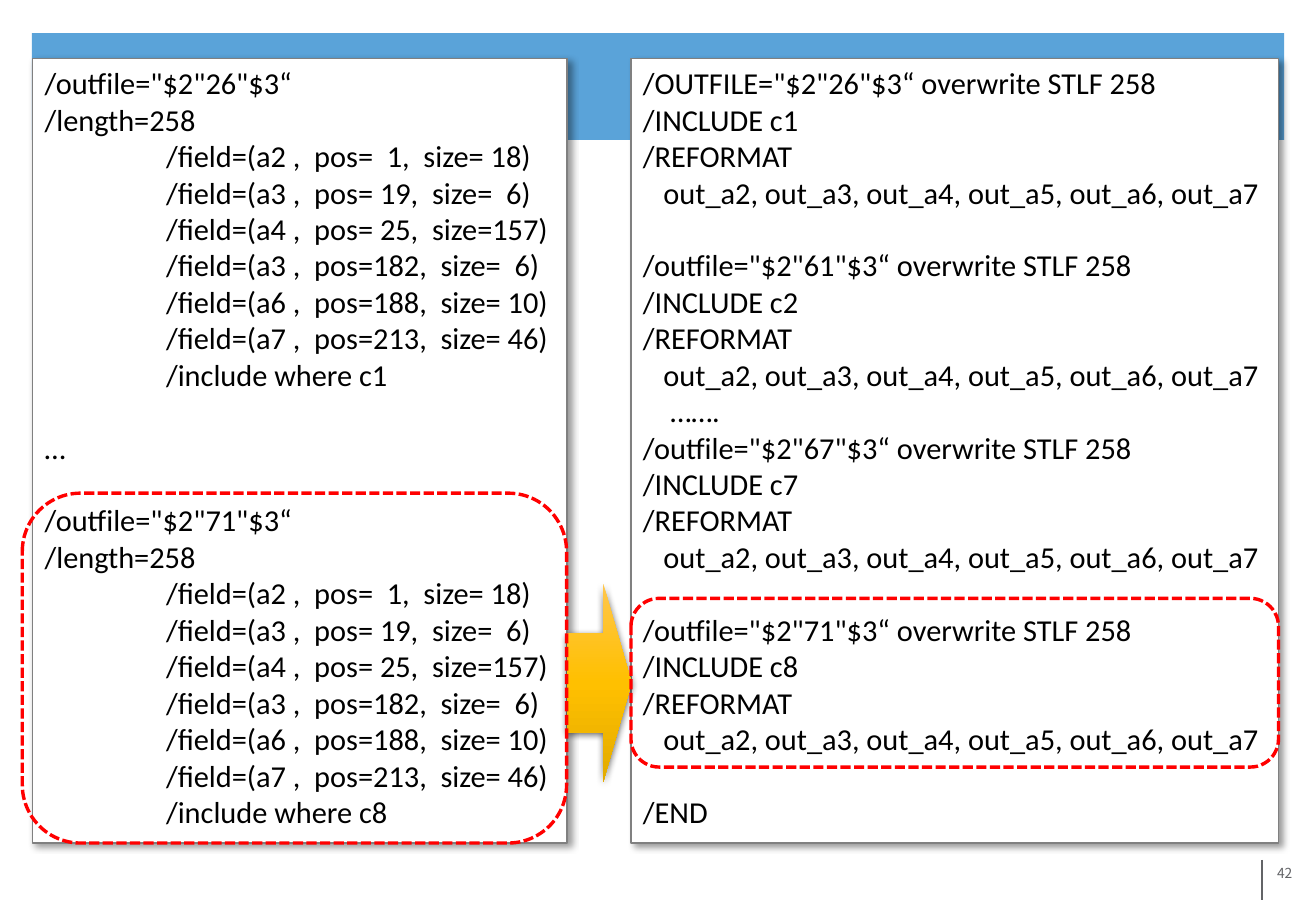
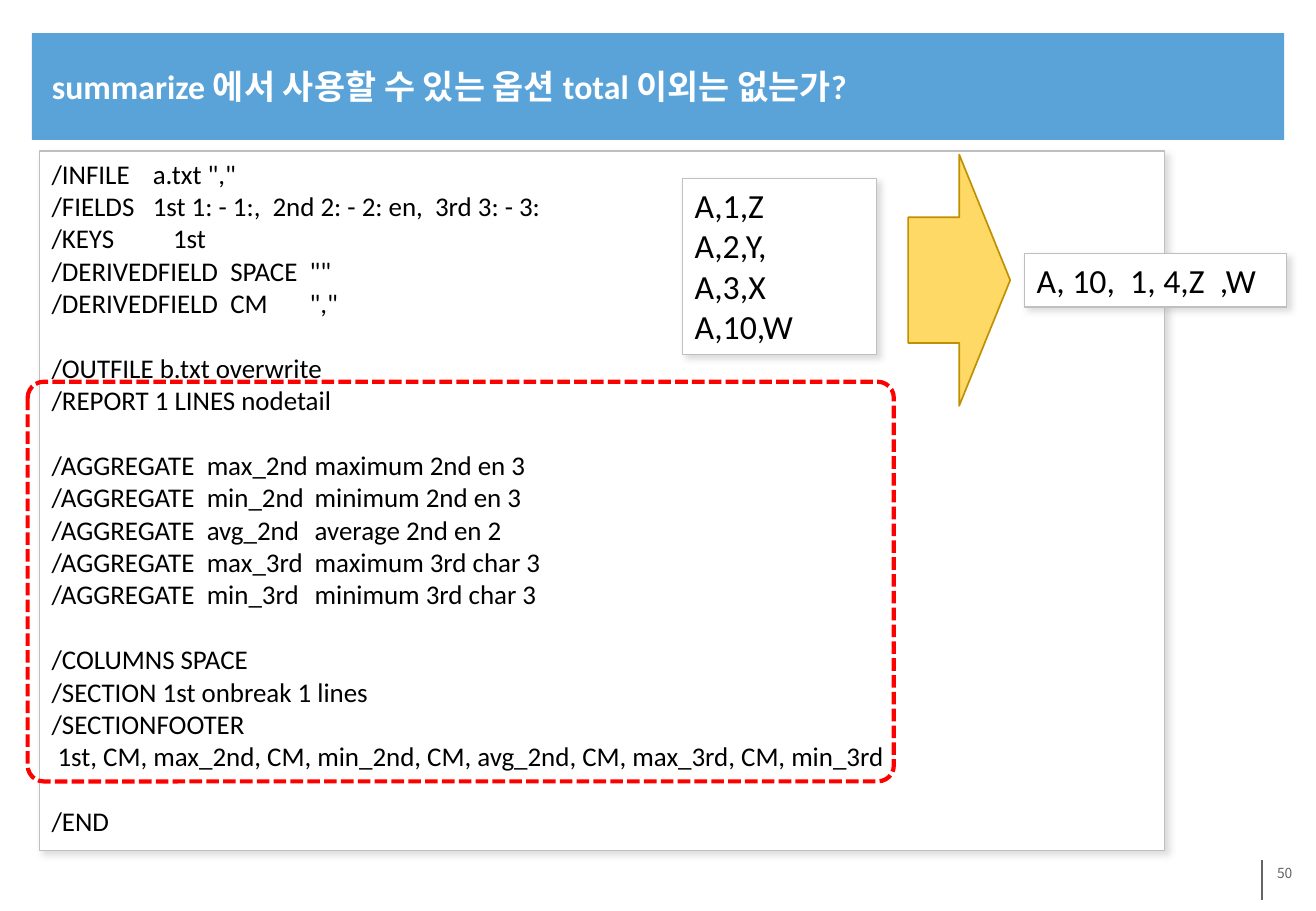
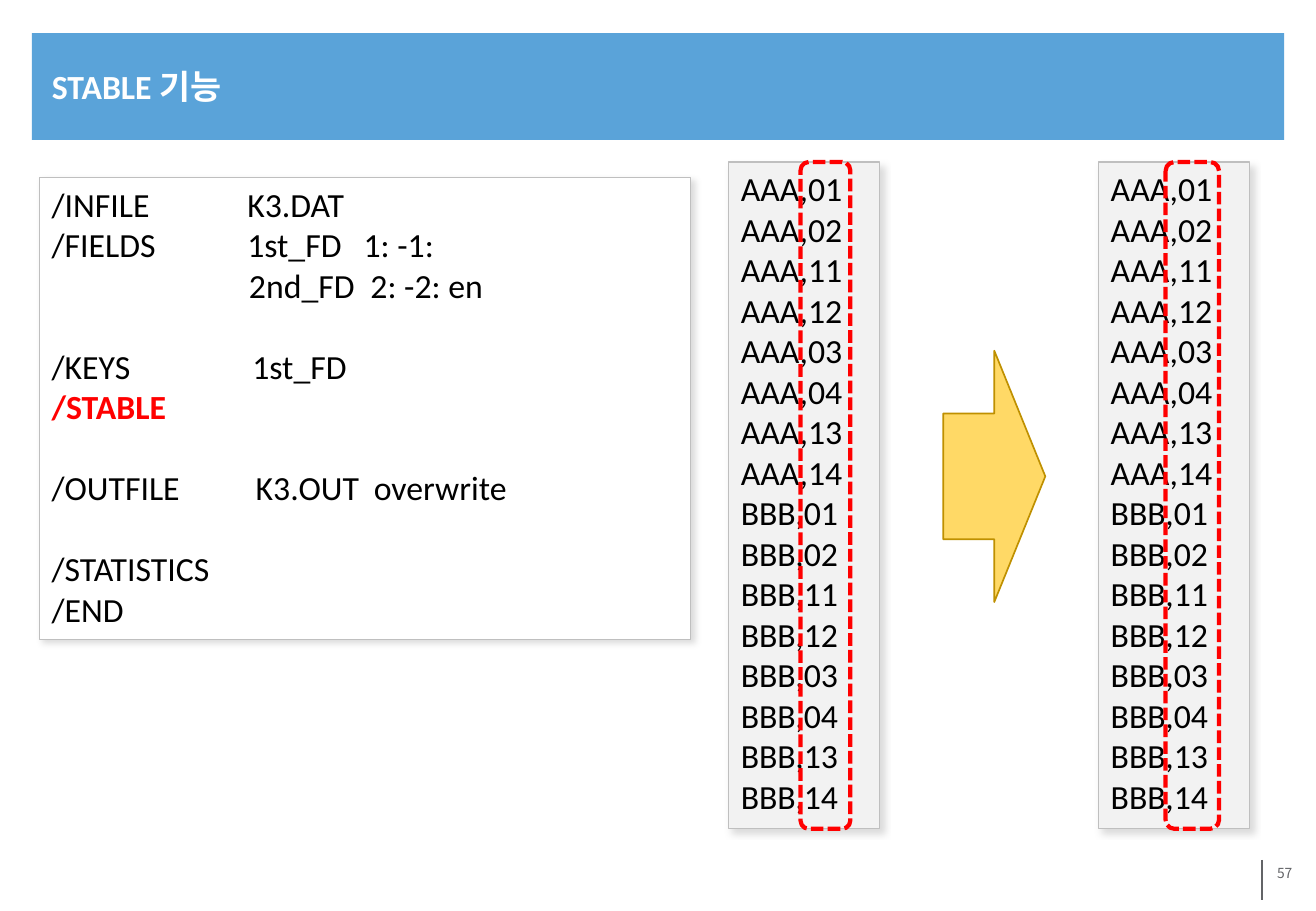
from copy import deepcopy

from lxml import etree
from pptx import Presentation
from pptx.dml.color import RGBColor
from pptx.enum import dml, shapes, text
from pptx.oxml.ns import qn
from pptx.util import Pt

# Shared look
BAND_BLUE = RGBColor(0x5A, 0xA3, 0xD9)
WHITE = RGBColor(0xFF, 0xFF, 0xFF)
BLACK = RGBColor(0x00, 0x00, 0x00)
RED = RGBColor(0xFF, 0x00, 0x00)
FOOTER_GREY = RGBColor(0x63, 0x64, 0x67)
DARK_EDGE = RGBColor(0x80, 0x80, 0x80)
LIGHT_EDGE = RGBColor(0xBF, 0xBF, 0xBF)
SOFT_SHADOW = RGBColor(0xA6, 0xA6, 0xA6)
LIST_GREY = RGBColor(0xF2, 0xF2, 0xF2)
ARROW_FILL = RGBColor(0xFF, 0xD9, 0x66)
ARROW_EDGE = RGBColor(0xBF, 0x90, 0x00)
ARROW_GRADIENT = [(0, RGBColor(0xFF, 0xC6, 0x4B)),
                  (0.5, RGBColor(0xFF, 0xC0, 0x00)),
                  (1, RGBColor(0xE3, 0xAB, 0x00))]

LATIN, KOREAN = "Calibri", "Noto Sans CJK KR"
LINE_RATIO = 1.2
SLIDE_SIZE = (780, 540)
BAND = (18.9, 19.6, 742.3, 63.4)
TITLE = (23.5, 22.3, 734.4, 56.9)
PAGE_NUMBER = (639.5, 509.7, 131.5, 36)
DIVIDER = (748, 509.7, 748, 533.5)

FRAME_SHAPE = shapes.MSO_SHAPE.ROUNDED_RECTANGLE
SOFT_FRAME_SHAPE = shapes.MSO_SHAPE.FLOWCHART_ALTERNATE_PROCESS
PLAIN_PANEL = {"fill": WHITE, "edge": LIGHT_EDGE, "shade": SOFT_SHADOW}
DARK_PANEL = {"fill": WHITE, "edge": DARK_EDGE, "shade": BLACK}
LIST_PANEL = {"fill": LIST_GREY, "edge": LIGHT_EDGE, "shade": SOFT_SHADOW}

# Content, with the tab stops of each command (the words before the first tab)
FIELDS = [("a2", 1, 18), ("a3", 19, 6), ("a4", 25, 157),
          ("a3", 182, 6), ("a6", 188, 10), ("a7", 213, 46)]
FIELD_TABS = {"": (72,)}

SUMMARY_CODE = [
    '/INFILE\ta.txt ","',
    "/FIELDS\t1st 1: - 1:,  2nd 2: - 2: en,  3rd 3: - 3:",
    "/KEYS\t1st",
    '/DERIVEDFIELD\tSPACE\t""',
    '/DERIVEDFIELD\tCM\t","',
    "",
    "/OUTFILE b.txt overwrite",
    "/REPORT 1 LINES nodetail",
    "",
    "/AGGREGATE\tmax_2nd\tmaximum 2nd en 3",
    "/AGGREGATE\tmin_2nd\tminimum 2nd en 3",
    "/AGGREGATE\tavg_2nd\taverage 2nd en 2",
    "/AGGREGATE\tmax_3rd\tmaximum 3rd char 3",
    "/AGGREGATE\tmin_3rd\tminimum 3rd char 3",
    "",
    "/COLUMNS SPACE",
    "/SECTION 1st onbreak 1 lines",
    "/SECTIONFOOTER",
    " 1st, CM, max_2nd, CM, min_2nd, CM, avg_2nd, CM, max_3rd, CM, min_3rd",
    "",
    "/END",
]
SUMMARY_TABS = {"/INFILE": (60,), "/FIELDS": (60,), "/KEYS": (72,),
                "/DERIVEDFIELD": (106, 153), "/AGGREGATE": (92, 156)}

STABLE_CODE = [
    "/INFILE\tK3.DAT",
    "/FIELDS\t1st_FD\t1: -1:",
    "\t2nd_FD\t2: -2: en",
    "",
    "/KEYS\t1st_FD",
    "/STABLE",
    "",
    "/OUTFILE\tK3.OUT\toverwrite",
    "",
    "/STATISTICS",
    "/END",
]
STABLE_TABS = {"/INFILE": (116,), "/FIELDS": (116, 185), "": (117, 189),
               "/KEYS": (119,), "/OUTFILE": (121, 191)}

RECORDS = [f"{key},{number}" for key in ("AAA", "BBB")
           for number in ("01", "02", "11", "12", "03", "04", "13", "14")]


def old_output(target, condition):
    fields = [f"\t/field=({name} ,  pos={pos:>3},  size={size:>3})"
              for name, pos, size in FIELDS]
    return [f'/outfile="$2"{target}"$3“', "/length=258", *fields,
            f"\t/include where {condition}"]


def new_output(target, condition, command="/outfile"):
    return [f'{command}="$2"{target}"$3“ overwrite STLF 258',
            f"/INCLUDE {condition}", "/REFORMAT",
            "   out_a2, out_a3, out_a4, out_a5, out_a6, out_a7"]


# Basic parts
def points(box):
    return [Pt(length) for length in box]


def apply(target, **values):
    for name, value in values.items():
        setattr(target, name, value)


def add_text(paragraph, words, size, color=BLACK, bold=False, font=LATIN):
    run = paragraph.add_run()
    run.text = words
    apply(run.font, name=font, size=Pt(size), bold=bold)
    run.font.color.rgb = color
    east_asian = etree.SubElement(run._r.get_or_add_rPr(), qn("a:ea"))
    east_asian.set("typeface", font)


def add_part(slide, kind, box, fill=None, edge=None, weight=0.75):
    part = slide.shapes.add_shape(kind, *points(box))
    part.shadow.inherit = False
    if fill is None:
        part.fill.background()
    else:
        part.fill.solid()
        part.fill.fore_color.rgb = fill
    if edge is None:
        part.line.fill.background()
    else:
        part.line.color.rgb = edge
        part.line.width = Pt(weight)
    return part


def cast_shadow(part, color, opacity, blur, distance, angle):
    effects = part._element.spPr.find(qn("a:effectLst"))
    shadow = etree.SubElement(effects, qn("a:outerShdw"))
    for name, value in {"blurRad": Pt(blur), "dist": Pt(distance),
                        "dir": angle * 60000, "rotWithShape": 0}.items():
        shadow.set(name, str(int(value)))
    tint = etree.SubElement(shadow, qn("a:srgbClr"), val=str(color))
    etree.SubElement(tint, qn("a:alpha"), val=str(opacity * 1000))


def set_tabs(paragraph, stops):
    tabs = etree.SubElement(paragraph._p.get_or_add_pPr(), qn("a:tabLst"))
    for stop in stops:
        etree.SubElement(tabs, qn("a:tab"), pos=str(int(Pt(stop))), algn="l")


def add_panel(slide, box, lines, size, style, tabs=None, wrap=True, marked=None):
    """A shadowed box of code; an empty line becomes space before the next."""
    panel = add_part(slide, shapes.MSO_SHAPE.RECTANGLE, box,
                     style["fill"], style["edge"])
    cast_shadow(panel, style["shade"], 40, 4, 3, 45)
    frame = panel.text_frame
    apply(frame, word_wrap=wrap, vertical_anchor=text.MSO_ANCHOR.TOP,
          auto_size=text.MSO_AUTO_SIZE.SHAPE_TO_FIT_TEXT)
    gap = 0
    for index, line in enumerate(lines):
        if not line:
            gap += size * LINE_RATIO
            continue
        paragraph = frame.add_paragraph() if index else frame.paragraphs[0]
        paragraph.alignment = text.PP_ALIGN.LEFT
        if gap:
            paragraph.space_before = Pt(gap)
            gap = 0
        command, tab, _ = line.partition("\t")
        if tab:
            set_tabs(paragraph, tabs[command])
        is_marked = line == marked
        add_text(paragraph, line, size, RED if is_marked else BLACK, is_marked)


def add_frame(slide, box, kind=FRAME_SHAPE, weight=2.5, corner=None):
    frame = add_part(slide, kind, box, edge=RED, weight=weight)
    frame.line.dash_style = dml.MSO_LINE.SQUARE_DOT
    if corner is not None:
        frame.adjustments[0] = corner


def add_arrow(slide, left, top):
    add_part(slide, shapes.MSO_SHAPE.RIGHT_ARROW, (left, top, 60.5, 149),
             ARROW_FILL, ARROW_EDGE, 1)


def add_gradient_arrow(slide, box):
    arrow = add_part(slide, shapes.MSO_SHAPE.RIGHT_ARROW, box)
    arrow.adjustments[1] = 0.44
    arrow.fill.gradient()
    arrow.fill.gradient_angle = 270
    stops = arrow._element.spPr.find(".//" + qn("a:gsLst"))
    stops.append(deepcopy(stops[0]))
    for stop, (position, color) in zip(arrow.fill.gradient_stops, ARROW_GRADIENT):
        stop.position = position
        stop.color.rgb = color
    cast_shadow(arrow, BLACK, 63, 4.5, 1.5, 90)


# Band, title and page number
def start_slide(deck, number, title=None):
    slide = deck.slides.add_slide(deck.slide_layouts[5 if title else 6])
    band = add_part(slide, shapes.MSO_SHAPE.RECTANGLE, BAND, BAND_BLUE)
    slide.shapes._spTree.insert(2, band._element)

    page = slide.shapes.add_textbox(*points(PAGE_NUMBER)).text_frame
    apply(page, word_wrap=True, margin_left=Pt(5), margin_right=Pt(5),
          margin_top=Pt(3), margin_bottom=Pt(3))
    page.paragraphs[0].alignment = text.PP_ALIGN.RIGHT
    add_text(page.paragraphs[0], str(number), 8.2, FOOTER_GREY, font=KOREAN)

    divider = slide.shapes.add_connector(shapes.MSO_CONNECTOR.STRAIGHT,
                                         *points(DIVIDER))
    divider.line.color.rgb = FOOTER_GREY
    divider.line.width = Pt(0.75)
    etree.SubElement(divider._element.spPr, qn("a:effectLst"))

    if title:
        heading = slide.shapes.title
        apply(heading, **dict(zip(("left", "top", "width", "height"),
                                  points(TITLE))))
        apply(heading.text_frame, word_wrap=True,
              auto_size=text.MSO_AUTO_SIZE.NONE,
              vertical_anchor=text.MSO_ANCHOR.MIDDLE)
        paragraph = heading.text_frame.paragraphs[0]
        paragraph.alignment = text.PP_ALIGN.LEFT
        add_text(paragraph, title, 20, WHITE, bold=True)
    return slide


# Slides
def conversion_slide(deck):
    slide = start_slide(deck, 42)
    top, height = 34.6, 465.1
    new_left, new_width = 374, 383.8
    new_code = [*new_output(26, "c1", "/OUTFILE"), "",
                *new_output(61, "c2"), "    …….",
                *new_output(67, "c7"), "",
                *new_output(71, "c8"), "", "/END"]
    old_code = [*old_output(26, "c1"), "", "…", "", *old_output(71, "c8")]
    add_panel(slide, (new_left, top, new_width, height), new_code, 18,
              DARK_PANEL, wrap=False)
    add_panel(slide, (19.4, top, 316.8, height), old_code, 18,
              DARK_PANEL, tabs=FIELD_TABS, wrap=False)
    add_gradient_arrow(slide, (336.2, 346, 38.2, 117.4))
    for box in ((13.2, 292.3, 322.6, 207.4), (new_left, 354.7, new_width, 100)):
        add_frame(slide, box, SOFT_FRAME_SHAPE, 2)


def summary_slide(deck):
    slide = start_slide(deck, 50, "summarize 에서 사용할 수 있는 옵션 total 이외는 없는가?")
    add_panel(slide, (23.5, 89.6, 666.7, 414.7), SUMMARY_CODE, 16,
              PLAIN_PANEL, tabs=SUMMARY_TABS)
    add_frame(slide, (16.4, 226.3, 513.4, 236.9), corner=0.04)
    add_panel(slide, (404.6, 105.8, 115.2, 104.4),
              ["A,1,Z", "A,2,Y,", "A,3,X", "A,10,W"], 20, PLAIN_PANEL)
    add_panel(slide, (607.3, 150.3, 155.5, 31.7),
              ["A, 10,  1, 4,Z  ,W"], 20, PLAIN_PANEL)
    add_arrow(slide, 538.3, 91.6)


def record_list(slide, box, frame_offset, frame_width):
    left, top, _, height = box
    add_panel(slide, box, RECORDS, 20, LIST_PANEL)
    add_frame(slide, (left + frame_offset, top, frame_width, height))


def stable_slide(deck):
    slide = start_slide(deck, 57, "STABLE 기능")
    add_panel(slide, (23.5, 105.3, 385.9, 273.6), STABLE_CODE, 20,
              PLAIN_PANEL, tabs=STABLE_TABS, marked="/STABLE")
    record_list(slide, (432, 96, 89.3, 395.3), 42.5, 29.5)
    add_arrow(slide, 559.1, 207.9)
    record_list(slide, (651.3, 96, 89.3, 395.3), 39.6, 31.7)


def main():
    deck = Presentation()
    deck.slide_width, deck.slide_height = points(SLIDE_SIZE)
    conversion_slide(deck)
    summary_slide(deck)
    stable_slide(deck)
    deck.save("out.pptx")


if __name__ == "__main__":
    main()
